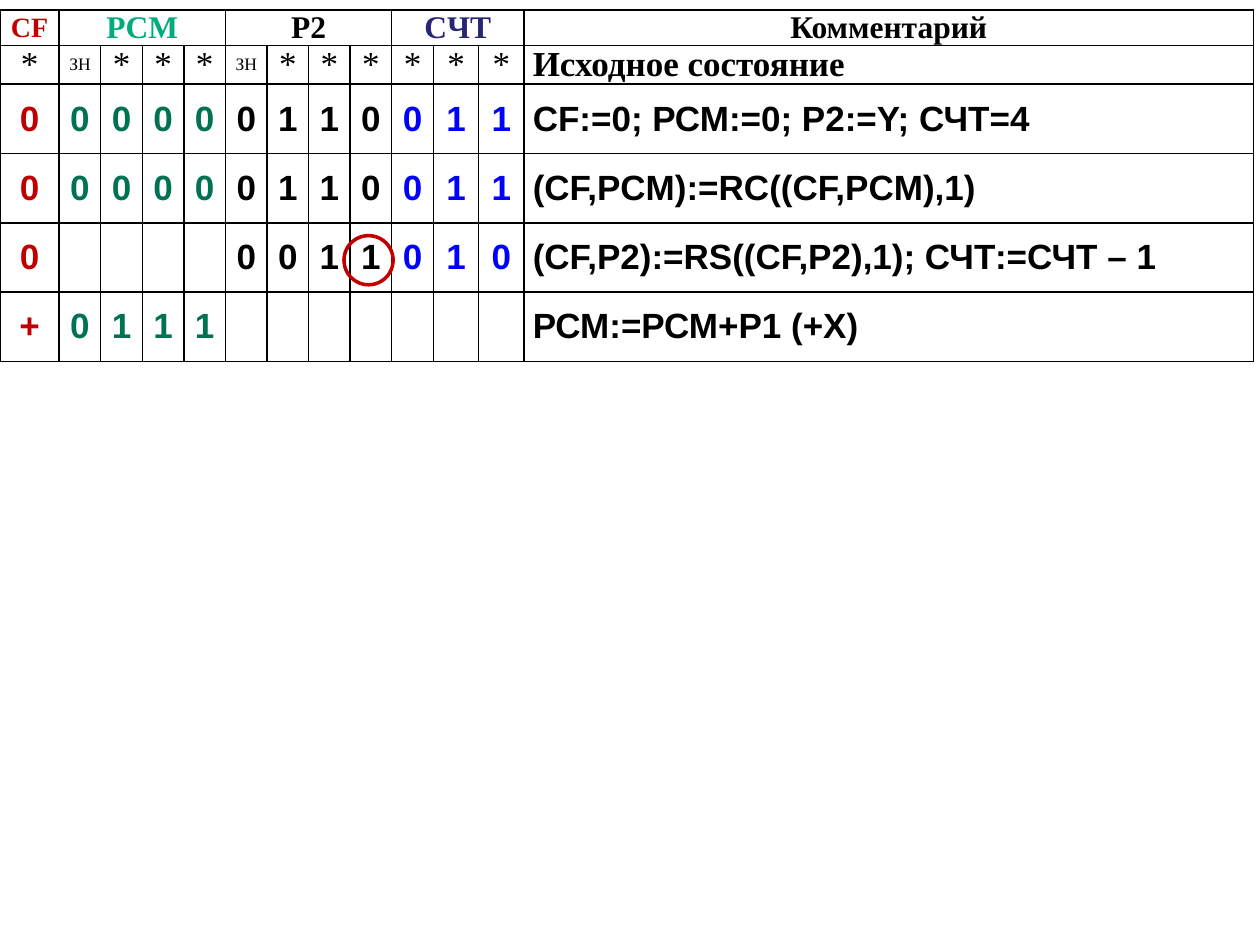
from lxml import etree
from pptx import Presentation
from pptx.dml.color import RGBColor
from pptx.enum import shapes, text
from pptx.oxml import ns
from pptx.util import Inches, Pt

BLACK = RGBColor(0, 0, 0)
RED = RGBColor(0xC0, 0, 0)
MINT = RGBColor(0, 0xAB, 0x7E)
GREEN = RGBColor(0, 0x72, 0x54)
NAVY = RGBColor(0x26, 0x26, 0x73)
BLUE = RGBColor(0, 0, 0xFF)
SERIF, SANS = "Times New Roman", "Arial"

COL_WIDTHS = [0.47] + [0.33] * 9 + [0.36] * 2 + [5.79]
ROW_HEIGHTS = [0.28] * 2 + [0.55] * 4
DIGIT_COLORS = [RED] + [GREEN] * 4 + [BLACK] * 4 + [BLUE] * 3

# first column, columns spanned, label, colour, size
GROUPS = [
    (0, 1, "CF", RED, 16),
    (1, 4, "PCM", MINT, 18),
    (5, 4, "P2", BLACK, 18),
    (9, 3, "CЧТ", NAVY, 18),
    (12, 1, "Комментарий", BLACK, 18),
]
SIGN_COLUMNS = (1, 5)
# one character per register bit, a space for an empty cell
STEPS = [
    ("000000110011", "CF:=0; РСМ:=0; Р2:=Y; СЧТ=4"),
    ("000000110011", "(CF,PCM):=RС((CF,PCM),1)"),
    ("0    0011010", "(CF,P2):=RS((CF,P2),1); СЧТ:=СЧТ – 1"),
    ("+0111       ", "РСМ:=РСМ+Р1 (+X)"),
]


def write_cell(cell, value, size=20, font=SANS, color=BLACK, bold=True,
               align=text.PP_ALIGN.CENTER):
    p = cell.text_frame.paragraphs[0]
    p.alignment = align
    p.space_after = Pt(3)
    r = p.add_run()
    r.text = value
    r.font.size, r.font.name, r.font.bold = Pt(size), font, bold
    r.font.color.rgb = color


def format_cell(cell):
    """Clear the fill, set the margins and draw a thin black border."""
    cell.fill.background()
    cell.vertical_anchor = text.MSO_ANCHOR.MIDDLE
    cell.margin_left = cell.margin_right = Inches(0.07)
    cell.margin_top = cell.margin_bottom = 0
    tc_pr = cell._tc.get_or_add_tcPr()
    for i, side in enumerate(("lnL", "lnR", "lnT", "lnB")):
        ln = etree.Element(ns.qn(f"a:{side}"), w=str(Pt(1)))
        fill = etree.SubElement(ln, ns.qn("a:solidFill"))
        etree.SubElement(fill, ns.qn("a:srgbClr"), val=str(BLACK))
        tc_pr.insert(i, ln)


def add_grid(s):
    frame = s.shapes.add_table(len(ROW_HEIGHTS), len(COL_WIDTHS), 0, Inches(0.08),
                               Inches(sum(COL_WIDTHS)), Inches(sum(ROW_HEIGHTS)))
    table = frame.table
    table.first_row = table.horz_banding = False
    for col, width in zip(table.columns, COL_WIDTHS):
        col.width = Inches(width)
    for row, height in zip(table.rows, ROW_HEIGHTS):
        row.height = Inches(height)
    for cell in table.iter_cells():
        format_cell(cell)
    return table


def fill_header(table):
    for first, span, label, color, size in GROUPS:
        cell = table.cell(0, first)
        if span > 1:
            cell.merge(table.cell(0, first + span - 1))
        write_cell(cell, label, size=size, font=SERIF, color=color)
    last = len(COL_WIDTHS) - 1
    for c in range(last):
        label, size = ("ЗН", 10) if c in SIGN_COLUMNS else ("*", 20)
        write_cell(table.cell(1, c), label, size=size, font=SERIF, bold=False)
    write_cell(table.cell(1, last), "Исходное состояние", font=SERIF,
               align=text.PP_ALIGN.LEFT)


def fill_steps(table):
    for row, (bits, comment) in enumerate(STEPS, start=2):
        for c, (bit, color) in enumerate(zip(bits, DIGIT_COLORS)):
            if bit != " ":
                write_cell(table.cell(row, c), bit, color=color)
        write_cell(table.cell(row, len(bits)), comment, align=text.PP_ALIGN.LEFT)


def add_ring(s, left, top, size):
    sp = s.shapes.add_shape(shapes.MSO_SHAPE.OVAL, Inches(left), Inches(top),
                            Inches(size), Inches(size))
    sp.shadow.inherit = False
    sp.fill.background()
    sp.line.color.rgb = RED
    sp.line.width = Pt(2)


def main():
    prs = Presentation()
    prs.slide_width, prs.slide_height = Inches(10), Inches(7.5)
    s = prs.slides.add_slide(prs.slide_layouts[6])
    table = add_grid(s)
    fill_header(table)
    fill_steps(table)
    add_ring(s, 2.73, 1.87, 0.39)
    prs.save("out.pptx")


if __name__ == "__main__":
    main()
